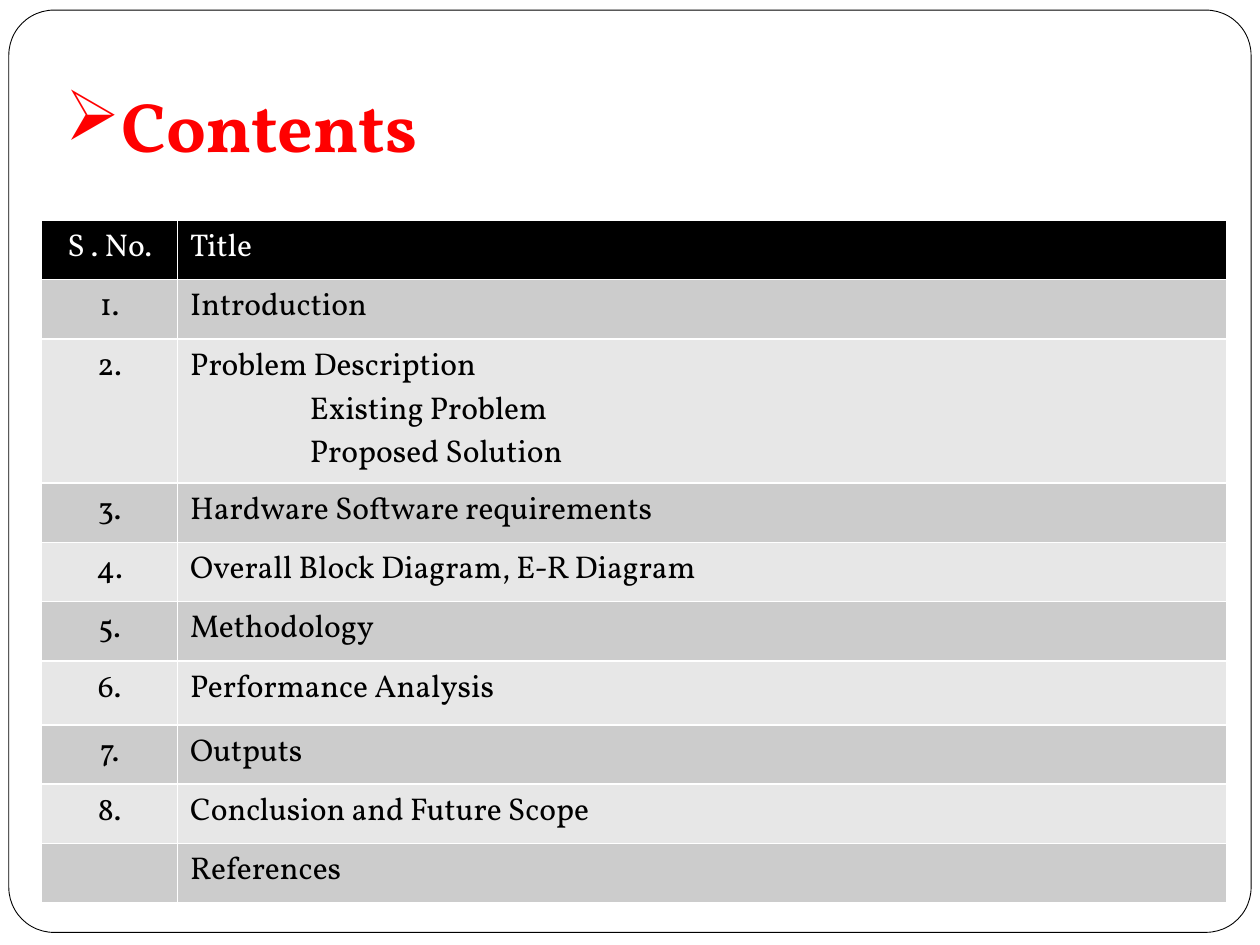
from lxml import etree
from pptx import Presentation
from pptx import util as u
from pptx.dml.color import RGBColor
from pptx.enum import shapes, text
from pptx.oxml import ns

HUES = {"ink": "000000", "paper": "FFFFFF", "title": "FF0000",
        "dark": "CCCCCC", "light": "E7E7E7"}
WIDTHS = [1.08, 8.33]
ROWS = [
    ("S . No.", ["Title"], 0.47),
    ("1.", ["Introduction"], 0.47),
    ("2.", ["Problem Description", "Existing Problem", "Proposed Solution"], 1),
    ("3.", ["Hardware Software requirements"], 0.47),
    ("4.", ["Overall Block Diagram, E-R Diagram"], 0.47),
    ("5.", ["Methodology"], 0.47),
    ("6.", ["Performance Analysis"], 0.51),
    ("7.", ["Outputs"], 0.47),
    ("8.", ["Conclusion and Future Scope"], 0.47),
    ("", ["References"], 0.47),
]


def hue(name):
    """Return the named colour."""
    return RGBColor.from_string(HUES[name])


def box(*sides):
    """Turn left, top, width and height into lengths."""
    return [u.Inches(side) for side in sides]


class Deck:
    """Holds the style and the current slide."""
    font = "Vollkorn"

    def __init__(self, prs):
        """Add a slide with a title."""
        self.slide = prs.slides.add_slide(prs.slide_layouts[5])

    def run(self, para, words, size, color, bold=False):
        """Add one styled run."""
        run = para.add_run()
        run.text = words
        run.font.name = self.font
        run.font.size = u.Pt(size)
        run.font.bold = bold
        run.font.color.rgb = hue(color)

    def frame(self, *sides):
        """Draw the rounded frame behind everything else."""
        shape = self.slide.shapes.add_shape(
            shapes.MSO_SHAPE.ROUNDED_RECTANGLE, *box(*sides))
        shape.adjustments[0] = 0.049
        shape.shadow.inherit = False
        shape.fill.solid()
        shape.fill.fore_color.rgb = hue("paper")
        shape.line.color.rgb = hue("ink")
        shape.line.width = u.Pt(0.5)
        tree = shape._element.getparent()
        tree.insert(2, shape._element)

    def title(self, words, *sides):
        """Fill the title and give it an arrow bullet."""
        shape = self.slide.shapes.title
        shape.left, shape.top, shape.width, shape.height = box(*sides)
        body = shape.text_frame
        body.word_wrap = True
        body.auto_size = text.MSO_AUTO_SIZE.NONE
        body.vertical_anchor = text.MSO_ANCHOR.BOTTOM
        body.margin_left = body.margin_right = body.margin_bottom = u.Inches(0.1)
        body.margin_top = u.Inches(0.05)
        para = body.paragraphs[0]
        para.alignment = text.PP_ALIGN.LEFT
        props = para._p.get_or_add_pPr()
        props.set("marL", "0")
        props.set("indent", "0")
        etree.SubElement(props, ns.qn("a:buChar")).set("char", "\u27a2")
        self.run(para, words, 40, "title", True)

    def edge(self, cell):
        """Rule all four sides of a cell in white."""
        props = cell._tc.get_or_add_tcPr()
        for side in ("lnL", "lnR", "lnT", "lnB"):
            line = etree.SubElement(props, ns.qn("a:" + side))
            line.set("w", str(u.Pt(1)))
            fill = etree.SubElement(line, ns.qn("a:solidFill"))
            etree.SubElement(fill, ns.qn("a:srgbClr")).set("val", HUES["paper"])

    def cell(self, cell, lines, fill, color, align):
        """Fill one cell; lines after the first are indented."""
        self.edge(cell)
        cell.fill.solid()
        cell.fill.fore_color.rgb = hue(fill)
        body = cell.text_frame
        for i, words in enumerate(lines):
            para = body.add_paragraph() if i else body.paragraphs[0]
            para.alignment = align
            if i:
                para._p.get_or_add_pPr().set("marL", str(u.Inches(0.95)))
            self.run(para, words, 18, color)

    def table(self, rows, widths, left, top):
        """Add the banded contents table."""
        high = sum(row[2] for row in rows)
        table = self.slide.shapes.add_table(
            len(rows), len(widths), *box(left, top, sum(widths), high)).table
        for col, width in zip(table.columns, widths):
            col.width = u.Inches(width)
        for i, (num, lines, tall) in enumerate(rows):
            table.rows[i].height = u.Inches(tall)
            fill = ("dark" if i % 2 else "light") if i else "ink"
            color = "ink" if i else "paper"
            self.cell(table.cell(i, 0), [num] if num else [], fill, color,
                      text.PP_ALIGN.CENTER)
            self.cell(table.cell(i, 1), lines, fill, color, text.PP_ALIGN.LEFT)


def main():
    """Build and save the contents slide."""
    prs = Presentation()
    prs.slide_width, prs.slide_height = box(10, 7.5)
    deck = Deck(prs)
    deck.frame(0.07, 0.08, 9.86, 7.32)
    deck.title("Contents", 0.42, 0.32, 9.25, 1.1)
    deck.table(ROWS, WIDTHS, 0.33, 1.75)
    prs.save("out.pptx")


main()
